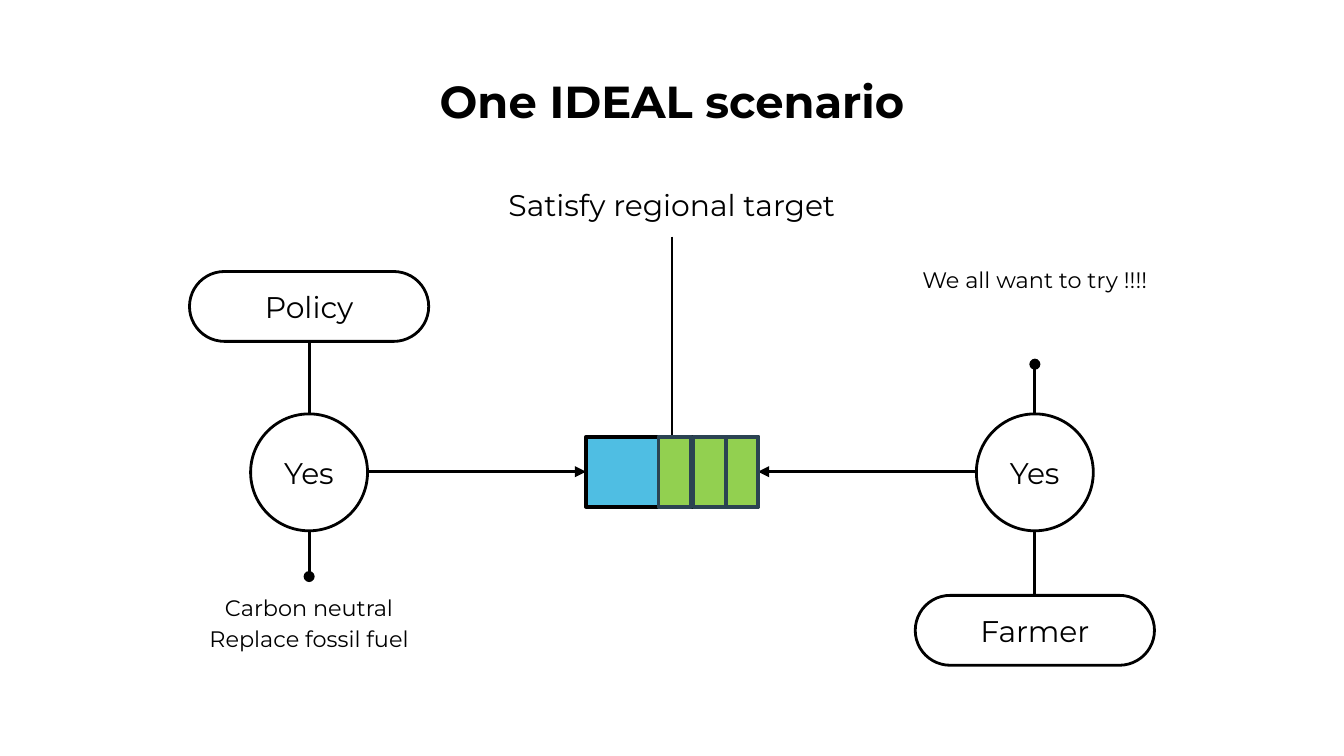
from dataclasses import dataclass
from typing import Optional

from lxml.etree import SubElement
from pptx import Presentation
from pptx.dml.color import RGBColor
from pptx.enum.shapes import MSO_CONNECTOR as Link, MSO_SHAPE as Kind
from pptx.enum.text import MSO_ANCHOR as Anchor, PP_ALIGN as Align
from pptx.oxml.ns import qn
from pptx.util import Inches, Pt


@dataclass(frozen=True)
class Theme:
    font: str = "Montserrat"
    ink: str = "000000"
    paper: str = "FFFFFF"
    blue: str = "4FBEE3"
    green: str = "92D050"
    slate: str = "2B4352"
    title_size: float = 24
    label_size: float = 16
    note_size: float = 12
    line_width: float = 1.5
    bar_line_width: float = 2


THEME = Theme()


def to_length(value: float) -> int:
    return round(Inches(1) * value)


@dataclass(frozen=True)
class Area:
    left: float
    top: float
    width: float
    height: float

    def lengths(self) -> tuple:
        return tuple(map(to_length, (self.left, self.top, self.width, self.height)))


@dataclass(frozen=True)
class Note:
    text: str
    area: Area
    size: float
    bold: bool = False
    spacing: float = 1.0
    anchor: Anchor = Anchor.TOP


@dataclass(frozen=True)
class Node:
    kind: Kind
    area: Area
    text: str = ""
    fill: Optional[str] = None
    line: str = THEME.ink
    width: float = THEME.line_width


@dataclass(frozen=True)
class Wire:
    start: tuple
    end: tuple
    tail: Optional[str] = None
    begin_at: Optional[tuple] = None
    end_at: Optional[tuple] = None


def write(shape, text: str, size: float, bold: bool = False,
          spacing: float = 1.0, anchor: Anchor = Anchor.MIDDLE) -> None:
    frame = shape.text_frame
    frame.text = text
    frame.word_wrap = True
    frame.vertical_anchor = anchor
    frame.margin_left = frame.margin_right = Inches(0.1)
    frame.margin_top = frame.margin_bottom = Inches(0.1)
    for para in frame.paragraphs:
        para.alignment = Align.CENTER
        para.line_spacing = spacing
        for span in para.runs:
            span.font.name = THEME.font
            span.font.size = Pt(size)
            span.font.bold = bold
            span.font.color.rgb = RGBColor.from_string(THEME.ink)


def draw_note(page, note: Note) -> None:
    box = page.shapes.add_textbox(*note.area.lengths())
    write(box, note.text, note.size, note.bold, note.spacing, note.anchor)


def draw_node(page, node: Node):
    shape = page.shapes.add_shape(node.kind, *node.area.lengths())
    shape.shadow.inherit = False
    if node.kind == Kind.ROUNDED_RECTANGLE:
        shape.adjustments[0] = 0.5
    if node.fill:
        shape.fill.solid()
        shape.fill.fore_color.rgb = RGBColor.from_string(node.fill)
    else:
        shape.fill.background()
    shape.line.color.rgb = RGBColor.from_string(node.line)
    shape.line.width = Pt(node.width)
    if node.text:
        write(shape, node.text, THEME.label_size)
    return shape


def draw_wire(page, wire: Wire) -> None:
    ends = map(to_length, wire.start + wire.end)
    connector = page.shapes.add_connector(Link.STRAIGHT, *ends)
    if wire.begin_at:
        connector.begin_connect(*wire.begin_at)
    if wire.end_at:
        connector.end_connect(*wire.end_at)
    connector.line.color.rgb = RGBColor.from_string(THEME.ink)
    connector.line.width = Pt(THEME.line_width)
    if wire.tail:
        SubElement(connector.line._get_or_add_ln(), qn("a:tailEnd"), type=wire.tail)
    SubElement(connector._element.spPr, qn("a:effectLst"))


def main() -> None:
    deck = Presentation()
    deck.slide_width = Inches(10)
    deck.slide_height = deck.slide_width * 9 // 16
    page = deck.slides.add_slide(deck.slide_layouts[6])
    page.background.fill.solid()
    page.background.fill.fore_color.rgb = RGBColor.from_string(THEME.paper)

    notes = [
        Note("One IDEAL scenario", Area(0.5, 0.45, 9, 0.61), THEME.title_size, bold=True),
        Note("Satisfy regional target", Area(2.8, 1.24, 4.4, 0.52), THEME.label_size,
             spacing=1.15, anchor=Anchor.MIDDLE),
        Note("Carbon neutral\nReplace fossil fuel", Area(0.75, 4.29, 3.1, 0.8),
             THEME.note_size, spacing=1.15),
        Note("We all want to try !!!!", Area(6.15, 1.85, 3.1, 0.87),
             THEME.note_size, spacing=1.15),
    ]
    for note in notes:
        draw_note(page, note)

    policy_x, target_x, farmer_x, axis_y = 2.3, 5.0, 7.7, 3.51
    pill_width, row_height, circle = 1.78, 0.52, 0.87
    circle_top, circle_bottom = 3.08, 3.94
    bar_left, bar_top, bar_width = 4.36, 3.25, 1.28
    bar_right = bar_left + bar_width

    def pill(text: str, center: float, top: float):
        area = Area(center - pill_width / 2, top, pill_width, row_height)
        return draw_node(page, Node(Kind.ROUNDED_RECTANGLE, area, text))

    policy = pill("Policy", policy_x, 2.02)
    farmer = pill("Farmer", farmer_x, 4.43)
    bar = draw_node(page, Node(
        Kind.RECTANGLE, Area(bar_left, bar_top, bar_width, row_height),
        fill=THEME.blue, width=THEME.bar_line_width))

    wires = [
        Wire((policy_x, 2.54), (policy_x, circle_top), begin_at=(policy, 2)),
        Wire((policy_x, circle_bottom), (policy_x, 4.29), "oval"),
        Wire((2.73, axis_y), (bar_left, axis_y), "triangle", end_at=(bar, 1)),
        Wire((7.27, axis_y), (bar_right, axis_y), "triangle", end_at=(bar, 3)),
        Wire((farmer_x, circle_bottom), (farmer_x, 4.43), end_at=(farmer, 0)),
        Wire((farmer_x, circle_top), (farmer_x, 2.71), "oval"),
        Wire((target_x, 1.76), (target_x, bar_top), end_at=(bar, 0)),
    ]
    for wire in wires:
        draw_wire(page, wire)

    for center in (policy_x, farmer_x):
        area = Area(center - circle / 2, circle_top, circle, circle)
        draw_node(page, Node(Kind.OVAL, area, "Yes", THEME.paper))
    for left in (4.9, 5.16, 5.4):
        draw_node(page, Node(
            Kind.RECTANGLE, Area(left, bar_top, 0.24, row_height),
            fill=THEME.green, line=THEME.slate, width=THEME.bar_line_width))

    deck.save("out.pptx")


if __name__ == "__main__":
    main()
